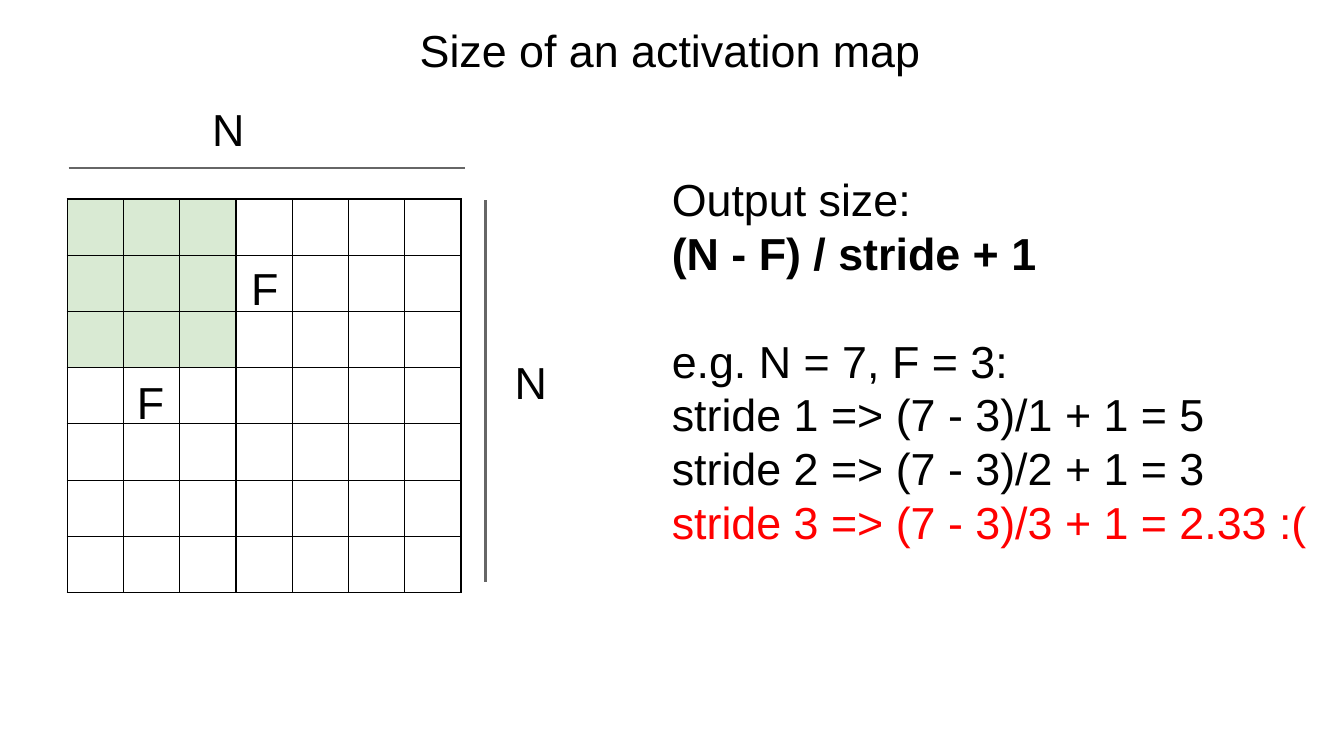
from dataclasses import dataclass

from lxml.etree import SubElement
from pptx import Presentation
from pptx.dml.color import RGBColor
from pptx.enum.shapes import MSO_CONNECTOR
from pptx.enum.text import MSO_ANCHOR, PP_ALIGN
from pptx.oxml.ns import qn
from pptx.slide import Slide
from pptx.table import _Cell
from pptx.util import Inches, Pt

COLORS = {"text": "000000", "warning": "FF0000", "rule": "666666",
          "filter": "D9EAD3", "empty": "FFFFFF", "border": "000000"}
SLIDE_WIDTH = Inches(10)
SLIDE_HEIGHT = SLIDE_WIDTH * 9 // 16
LINE_HEIGHT = Pt(28.8)
INPUT_SIZE = 7
FILTER_SIZE = 3
GRID_SIDE = Inches(2.93)


@dataclass
class Line:
    text: str
    bold: bool = False
    color: str = "text"
    space_before: int = 0


@dataclass
class TextBlock:
    left: float
    top: float
    width: float
    height: float
    lines: list[Line]
    alignment: PP_ALIGN = PP_ALIGN.LEFT


@dataclass
class Rule:
    start: tuple[float, float]
    end: tuple[float, float]


def label(left: float, top: float, text: str) -> TextBlock:
    return TextBlock(left, top, 0.85, 0.43, [Line(text)])


TEXT_BLOCKS = [
    label(1.48, 0.66, "N"),
    label(3.73, 2.54, "N"),
    label(0.92, 2.69, "F"),
    label(1.77, 1.84, "F"),
    TextBlock(4.9, 1.18, 5.11, 2.64, [
        Line("Output size:"),
        Line("(N - F) / stride + 1", bold=True),
        Line("e.g. N = 7, F = 3:", space_before=LINE_HEIGHT),
        Line("stride 1 => (7 - 3)/1 + 1 = 5"),
        Line("stride 2 => (7 - 3)/2 + 1 = 3"),
        Line("stride 3 => (7 - 3)/3 + 1 = 2.33 :(", color="warning"),
    ]),
    TextBlock(0.15, 0.07, 9.67, 0.66, [Line("Size of an activation map")], PP_ALIGN.CENTER),
]
RULES = [Rule((0.51, 1.25), (3.46, 1.25)), Rule((3.61, 1.49), (3.61, 4.33))]


def rgb(name: str) -> RGBColor:
    return RGBColor.from_string(COLORS[name])


def set_attributes(target: object, values: dict) -> None:
    for name, value in values.items():
        setattr(target, name, value)


def add_borders(cell: _Cell) -> None:
    """Put a thin border on each side, ahead of the fill as the schema asks."""
    properties = cell._tc.get_or_add_tcPr()
    for position, side in enumerate(("lnL", "lnR", "lnT", "lnB")):
        border = SubElement(properties, qn(f"a:{side}"), w=str(Pt(0.75)))
        fill = SubElement(border, qn("a:solidFill"))
        SubElement(fill, qn("a:srgbClr"), val=COLORS["border"])
        properties.insert(position, border)


def fill_cell(cell: _Cell, row_index: int, column_index: int) -> None:
    """Tint the filter's window, whiten the rest of its rows, leave others clear."""
    if row_index >= FILTER_SIZE:
        cell.fill.background()
        return
    cell.fill.solid()
    cell.fill.fore_color.rgb = rgb("filter" if column_index < FILTER_SIZE else "empty")


def add_input_grid(slide: Slide) -> None:
    table = slide.shapes.add_table(
        INPUT_SIZE, INPUT_SIZE, Inches(0.5), Inches(1.48), GRID_SIDE, GRID_SIDE).table
    set_attributes(table, {"first_row": False, "horz_banding": False})
    for row_index, row in enumerate(table.rows):
        for column_index, cell in enumerate(row.cells):
            set_attributes(cell, {"margin_top": 0, "margin_bottom": 0})
            fill_cell(cell, row_index, column_index)
            add_borders(cell)


def add_rule(slide: Slide, rule: Rule) -> None:
    points = [Inches(value) for value in (*rule.start, *rule.end)]
    connector = slide.shapes.add_connector(MSO_CONNECTOR.STRAIGHT, *points)
    connector.line.color.rgb = rgb("rule")
    connector.line.width = Pt(1.5)
    SubElement(connector._element.spPr, qn("a:effectLst"))


def add_text(slide: Slide, block: TextBlock) -> None:
    position = [Inches(value) for value in (block.left, block.top, block.width, block.height)]
    frame = slide.shapes.add_textbox(*position).text_frame
    set_attributes(frame, {"word_wrap": True, "vertical_anchor": MSO_ANCHOR.TOP})
    set_attributes(frame, {f"margin_{side}": Inches(0.1)
                           for side in ("left", "top", "right", "bottom")})
    for index, line in enumerate(block.lines):
        paragraph = frame.add_paragraph() if index else frame.paragraphs[0]
        set_attributes(paragraph, {"alignment": block.alignment,
                                   "line_spacing": LINE_HEIGHT,
                                   "space_before": line.space_before})
        run = paragraph.add_run()
        run.text = line.text
        set_attributes(run.font, {"name": "Arial", "size": Pt(24), "bold": line.bold})
        run.font.color.rgb = rgb(line.color)


def main() -> None:
    presentation = Presentation()
    set_attributes(presentation, {"slide_width": SLIDE_WIDTH, "slide_height": SLIDE_HEIGHT})
    slide = presentation.slides.add_slide(presentation.slide_layouts[6])
    add_input_grid(slide)
    for rule in RULES:
        add_rule(slide, rule)
    for block in TEXT_BLOCKS:
        add_text(slide, block)
    presentation.save("out.pptx")


if __name__ == "__main__":
    main()
